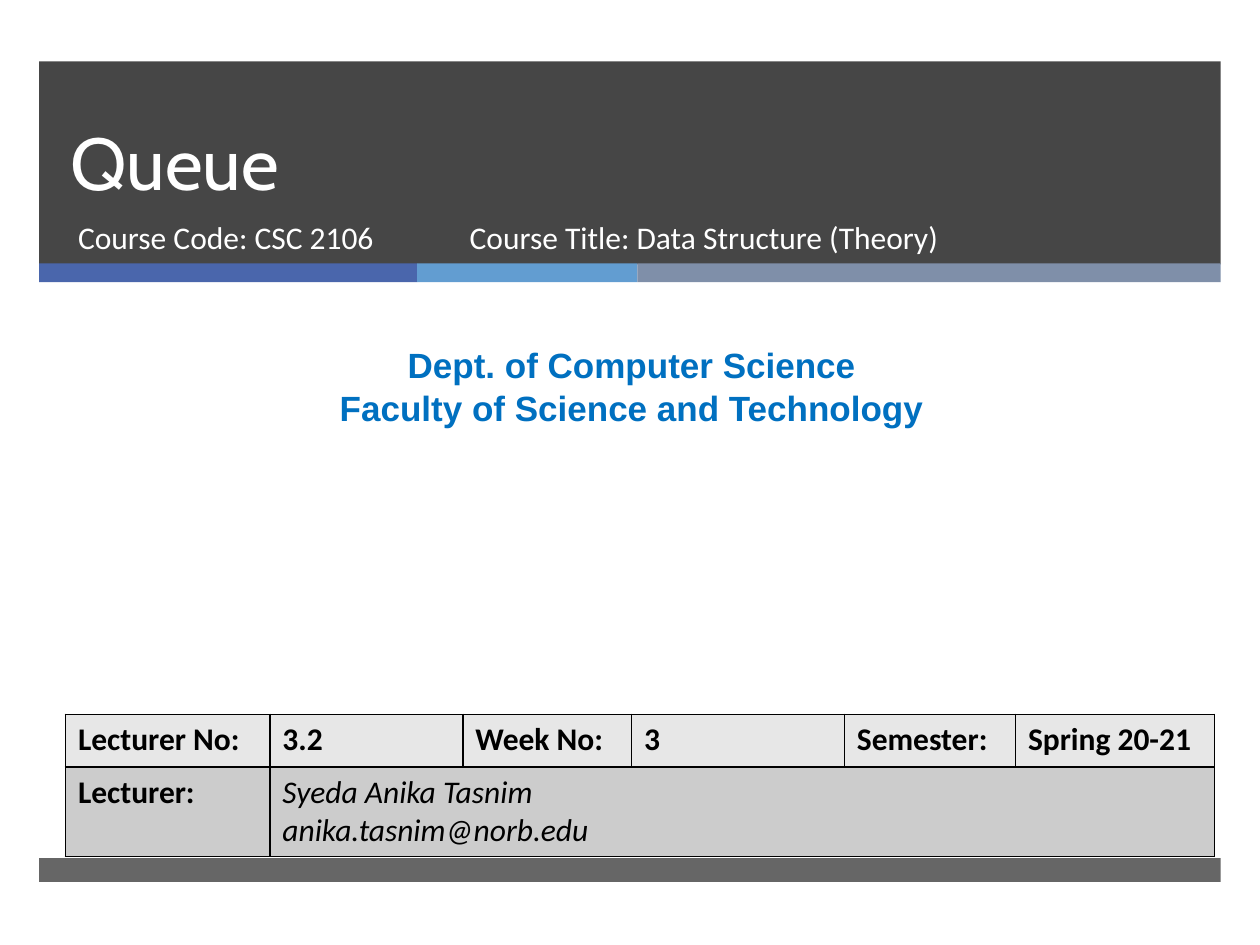
"""Build the opening slide of the Queue lecture."""
from lxml import etree
from pptx import Presentation
from pptx.dml.color import RGBColor
from pptx.enum.shapes import MSO_SHAPE
from pptx.enum.text import MSO_ANCHOR, MSO_AUTO_SIZE, PP_ALIGN
from pptx.oxml.ns import qn
from pptx.util import Cm, Pt

RECTANGLE = MSO_SHAPE.RECTANGLE
TOP, BOTTOM = MSO_ANCHOR.TOP, MSO_ANCHOR.BOTTOM
LEFT, CENTER = PP_ALIGN.LEFT, PP_ALIGN.CENTER
NO_AUTOFIT = MSO_AUTO_SIZE.NONE
WHITE, BLACK, BLUE, DARK = "FFFFFF", "000000", "0070C0", "262626"


def paint(fill, color, opacity=100):
    """Give a fill a solid colour and an opacity in percent."""
    fill.solid()
    fill.fore_color.rgb = RGBColor.from_string(color)
    if opacity < 100:
        tone = fill._xPr.find(qn("a:solidFill"))[0]
        etree.SubElement(tone, qn("a:alpha"), val=str(opacity * 1000))


def write(frame, lines, color, font, align=LEFT, spacing=1.0):
    """Put lines of text into a frame, one paragraph each."""
    for index, line in enumerate(lines):
        para = frame.add_paragraph() if index else frame.paragraphs[0]
        layout = {"alignment": align, "line_spacing": spacing, "space_before": Pt(0)}
        for name, value in layout.items():
            setattr(para, name, value)
        span = para.add_run()
        span.text = line
        for name, value in font.items():
            setattr(span.font, name, value)
        span.font.color.rgb = RGBColor.from_string(color)


deck = Presentation()
deck.slide_width, deck.slide_height = Cm(25.4), Cm(19.05)
page = deck.slides.add_slide(deck.slide_layouts[0])
title, code = page.placeholders

bands = [
    (0.79, 1.24, 23.82, 4.09, DARK, 85),
    (0.79, 5.31, 7.62, 0.38, "4A66AC", 100),
    (8.41, 5.31, 4.44, 0.38, "629DD1", 100),
    (12.85, 5.31, 11.76, 0.38, "7F8FA9", 100),
    (0.79, 17.3, 23.82, 0.48, DARK, 70),
]
for *place, color, opacity in bands:
    band = page.shapes.add_shape(RECTANGLE, *map(Cm, place))
    band.shadow.inherit = False
    band.line.fill.background()
    paint(band.fill, color, opacity)
    title._element.addprevious(band._element)

department = page.shapes.add_textbox(0, 0, 0, 0)
course = page.shapes.add_textbox(0, 0, 0, 0)
heading = {"name": "Cabin", "size": Pt(42)}
plain = {"name": "Calibri", "size": Pt(18)}
strong = {**plain, "bold": True}
slanted = {**plain, "bold": False, "italic": True}
faculty = {"name": "Arial", "size": Pt(20), "bold": True}

texts = [
    (title, (1.17, 1.24, 21.69, 3.02), BOTTOM, ["Queue"], WHITE, heading, LEFT, Pt(46)),
    (code, (1.32, 4.27, 7.75, 1.35), TOP, ["Course Code: CSC 2106"], WHITE, plain, LEFT, 1.0),
    (department, (0.2, 6.81, 25.07, 1.96), TOP,
     ["Dept. of Computer Science", "Faculty of Science and Technology"], BLUE, faculty, CENTER, 1.0),
    (course, (9.22, 4.27, 11.56, 1.35), TOP,
     ["Course Title: Data Structure (Theory)"], WHITE, plain, LEFT, 1.0),
]
for box, place, anchor, *content in texts:
    box.left, box.top, box.width, box.height = map(Cm, place)
    settings = {"word_wrap": True, "auto_size": NO_AUTOFIT, "vertical_anchor": anchor}
    for name, value in settings.items():
        setattr(box.text_frame, name, value)
    write(box.text_frame, *content)

widths = [4.12, 3.89, 3.4, 4.29, 3.45, 4.01]
heights = [1.06, 1.77]
table = page.shapes.add_table(
    2, 6, Cm(1.32), Cm(14.4), Cm(sum(widths)), Cm(sum(heights))).table
for column, width in zip(table.columns, widths):
    column.width = Cm(width)
for row, height, color in zip(table.rows, heights, ["E7E7E7", "CCCCCC"]):
    row.height = Cm(height)
    for cell in row.cells:
        properties = cell._tc.get_or_add_tcPr()
        for side in ("lnL", "lnR", "lnT", "lnB"):
            border = etree.SubElement(properties, qn(f"a:{side}"), w=str(Pt(1)))
            solid = etree.SubElement(border, qn("a:solidFill"))
            etree.SubElement(solid, qn("a:srgbClr"), val=BLACK)
        paint(cell.fill, color)
table.cell(1, 1).merge(table.cell(1, 5))

labels = ["Lecturer No:", "3.2", "Week No:", "3", "Semester:", "Spring 20-21"]
for column, label in enumerate(labels):
    write(table.cell(0, column).text_frame, [label], BLACK, strong)
write(table.cell(1, 0).text_frame, ["Lecturer:"], BLACK, strong)
write(table.cell(1, 1).text_frame, ["Syeda Anika Tasnim", "anika.tasnim@norb.edu"], BLACK, slanted)

deck.save("out.pptx")
